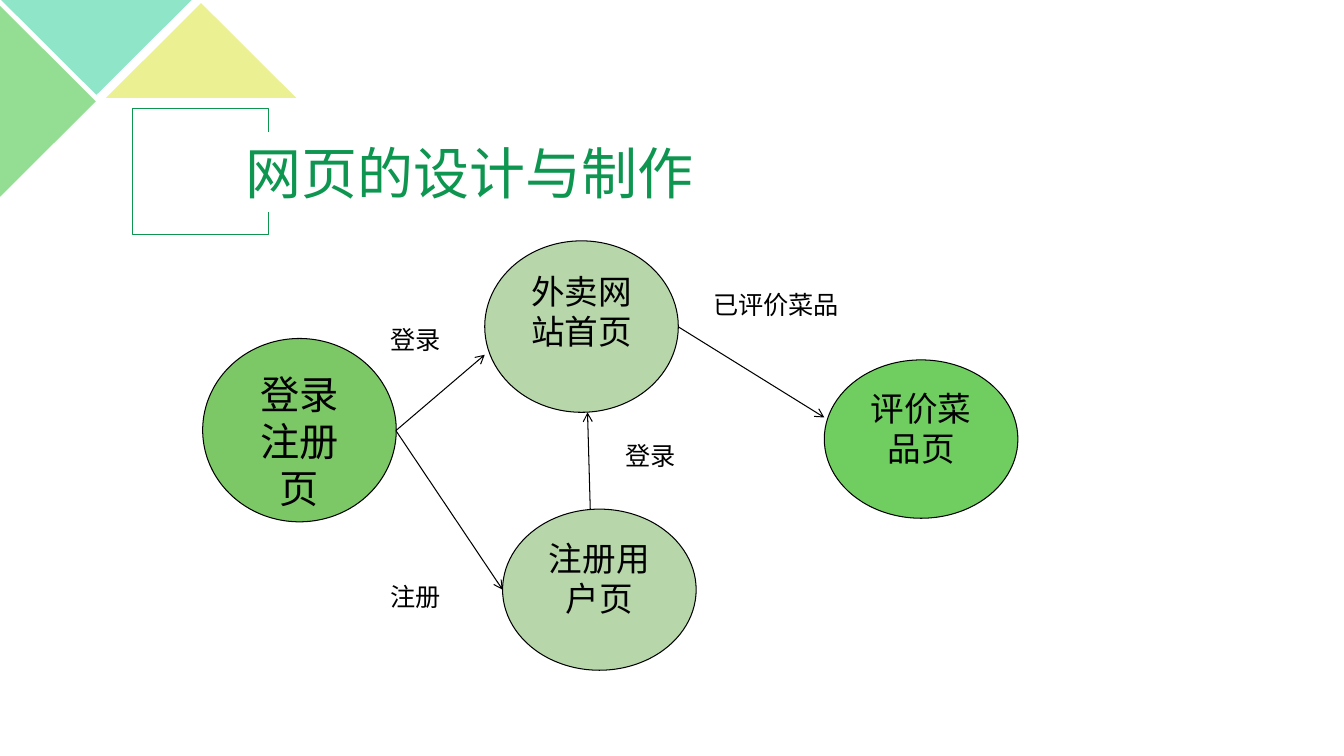
from pptx import Presentation
from pptx.dml.color import RGBColor
from pptx.enum.shapes import MSO_CONNECTOR, MSO_SHAPE
from pptx.enum.text import MSO_ANCHOR, MSO_AUTO_SIZE, PP_ALIGN
from pptx.oxml.ns import qn
from pptx.util import Cm, Pt
from lxml.etree import SubElement

COLORS = {
    "leaf": "94DE94", "mint": "8EE5C7", "lemon": "EBF092",
    "green": "0E9651", "white": "FFFFFF", "black": "000000",
    "login": "7DC866", "site": "B7D7AB", "review": "70CE61",
}


def add_block(kind, box, fill=None, line=None, weight=0.75):
    block = slide.shapes.add_shape(kind, *map(Cm, box))
    block.shadow.inherit = False
    if fill:
        block.fill.solid()
        block.fill.fore_color.rgb = RGBColor.from_string(COLORS[fill])
    else:
        block.fill.background()
    if line:
        block.line.color.rgb = RGBColor.from_string(COLORS[line])
        block.line.width = Pt(weight)
    else:
        block.line.fill.background()
    return block


def write(frame, text, size, align, anchor=MSO_ANCHOR.TOP, color="black"):
    frame.text = text
    settings = {"word_wrap": True, "auto_size": MSO_AUTO_SIZE.NONE,
                "vertical_anchor": anchor}
    for name, value in settings.items():
        setattr(frame, name, value)
    paragraph = frame.paragraphs[0]
    paragraph.alignment = align
    font = paragraph.runs[0].font
    font.name, font.size = "Arial", Pt(size)
    font.color.rgb = RGBColor.from_string(COLORS[color])


prs = Presentation()
prs.slide_width, prs.slide_height = Cm(33.88), Cm(19.05)
slide = prs.slides.add_slide(prs.slide_layouts[5])

# Corner triangles
for left, top, height, turn, fill in [
    (-1.19, 1.35, 2.41, 90, "leaf"),
    (0.03, 0, 2.39, 180, "mint"),
    (2.67, 0.08, 2.39, 0, "lemon"),
]:
    triangle = add_block(MSO_SHAPE.ISOSCELES_TRIANGLE, (left, top, 4.8, height), fill)
    triangle.rotation = turn

# Square frame, opened on the right for the title
add_block(MSO_SHAPE.RECTANGLE, (3.33, 2.72, 3.43, 3.2), line="green", weight=0.5)
add_block(MSO_SHAPE.RECTANGLE, (5.79, 3.33, 2.13, 2.01), "white")

# Title, brought in front of the frame
title = slide.shapes.title
title.left, title.top, title.width, title.height = map(Cm, (5.94, 3.33, 24, 2.01))
write(title.text_frame, "网页的设计与制作", 40, PP_ALIGN.LEFT, MSO_ANCHOR.MIDDLE, "green")
slide.shapes._spTree.append(title._element)

# Pages of the site
for page, left, top, height, fill, size in [
    ("登录注册页", 5.11, 8.53, 4.62, "login", 28),
    ("外卖网站首页", 12.22, 6.07, 4.32, "site", 24),
    ("评价菜品页", 20.78, 9.07, 3.99, "review", 24),
    ("注册用户页", 12.67, 12.83, 4.06, "site", 24),
]:
    oval = add_block(MSO_SHAPE.OVAL, (left, top, 4.88, height), fill, "black")
    write(oval.text_frame, page, size, PP_ALIGN.CENTER)

# Arrows between the pages
for ends in [
    (9.98, 10.85, 12.22, 8.94),
    (9.98, 10.85, 12.67, 14.86),
    (17.09, 8.23, 20.78, 10.52),
    (14.88, 12.85, 14.81, 10.39),
]:
    arrow = slide.shapes.add_connector(MSO_CONNECTOR.STRAIGHT, *map(Cm, ends))
    arrow.line.color.rgb = RGBColor.from_string(COLORS["black"])
    arrow.line.width = Pt(0.75)
    SubElement(arrow.line._get_or_add_ln(), qn("a:tailEnd"), type="arrow")
    SubElement(arrow._element.spPr, qn("a:effectLst"))

# Arrow labels
for action, left, top, width in [
    ("登录", 9.6, 8.05, 2.31),
    ("注册", 9.6, 14.53, 2.03),
    ("登录", 15.52, 10.97, 1.96),
    ("已评价菜品", 17.73, 7.16, 5.13),
]:
    label = slide.shapes.add_textbox(*map(Cm, (left, top, width, 1.02)))
    write(label.text_frame, action, 18, PP_ALIGN.LEFT)

prs.save("out.pptx")
